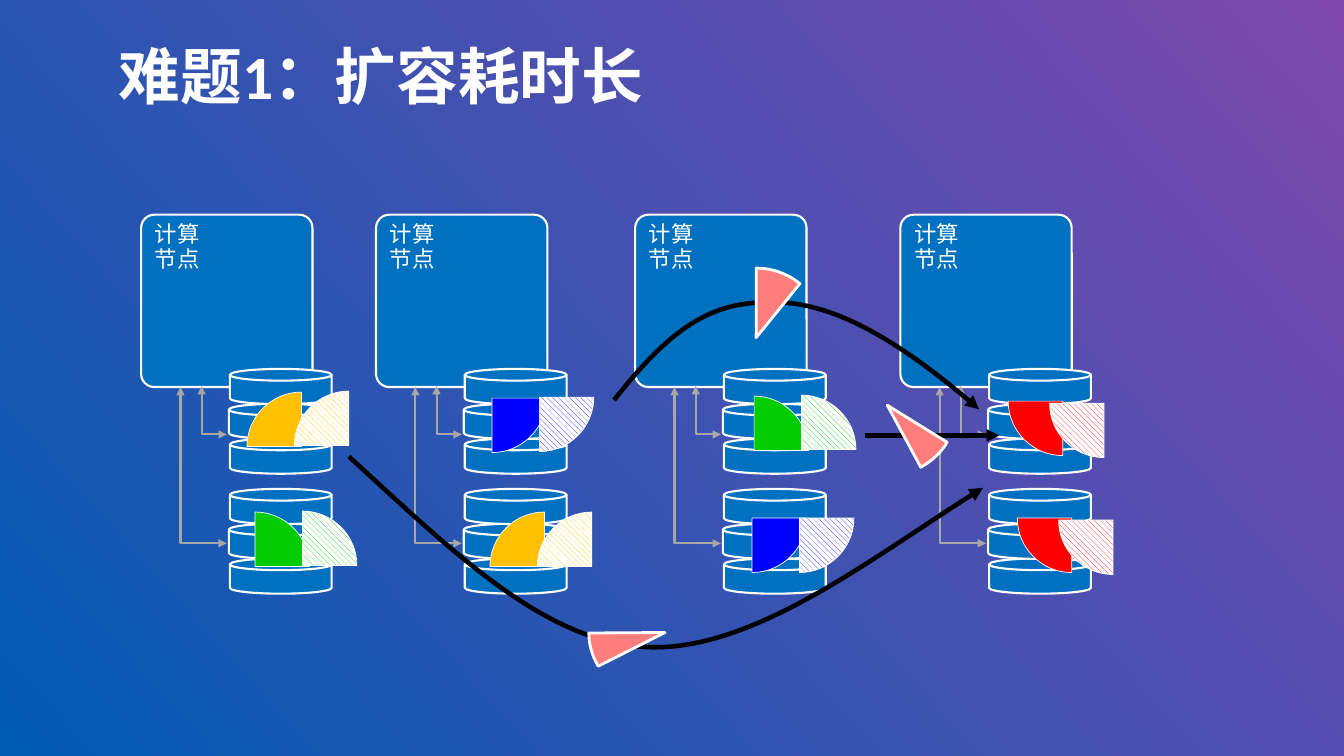
import pptx
import pptx.dml.color
import pptx.enum.dml
import pptx.enum.shapes
import pptx.enum.text
import pptx.oxml.ns
import pptx.util
from lxml import etree

Inches = pptx.util.Inches
Pt = pptx.util.Pt
RGBColor = pptx.dml.color.RGBColor
qn = pptx.oxml.ns.qn
SHAPES = pptx.enum.shapes.MSO_SHAPE
ANCHOR = pptx.enum.text.MSO_ANCHOR
ALIGN = pptx.enum.text.PP_ALIGN

DEEP_BLUE = RGBColor(0x00, 0x5B, 0xB3)
PURPLE = RGBColor(0x7F, 0x48, 0xAE)
NODE_BLUE = RGBColor(0x00, 0x70, 0xC0)
WHITE = RGBColor(0xFF, 0xFF, 0xFF)
BLACK = RGBColor(0x00, 0x00, 0x00)
GRAY = RGBColor(0xA7, 0xA7, 0xA7)
PINK = RGBColor(0xFF, 0x7D, 0x7D)
ORANGE = RGBColor(0xFF, 0xC0, 0x00)
BLUE = RGBColor(0x00, 0x00, 0xFF)
GREEN = RGBColor(0x00, 0xCC, 0x00)
RED = RGBColor(0xFF, 0x00, 0x00)

NODE_LEFTS = [1.4, 3.73, 6.3, 8.93]
RADIUS = 0.54
BEND = 0.55
SECTOR_TURNS = {ORANGE: (-1, -1), BLUE: (1, 1), GREEN: (1, -1), RED: (-1, 1)}
SECTORS = [
    (BLUE, (4.88, 3.95), (5.35, 3.94)),
    (ORANGE, (2.99, 4.43), (3.46, 4.42)),
    (GREEN, (7.48, 4.47), (7.95, 4.46)),
    (BLUE, (7.46, 5.14), (7.93, 5.14)),
    (ORANGE, (5.4, 5.62), (5.87, 5.62)),
    (GREEN, (2.53, 5.62), (3, 5.61)),
    (RED, (10.54, 3.98), (10.95, 4)),
    (RED, (10.63, 5.14), (11.04, 5.16)),
]


def apply_format(target, values):
    for name, value in values.items():
        setattr(target, name, value)


def paint(shape, fill, line, width):
    shape.shadow.inherit = False
    if fill is None:
        shape.fill.background()
    else:
        shape.fill.solid()
        shape.fill.fore_color.rgb = fill
    shape.line.color.rgb = line
    shape.line.width = Pt(width)


def write(box, lines, size, font, bold, anchor):
    frame = box.text_frame
    apply_format(frame, {"word_wrap": True, "vertical_anchor": anchor})
    for index, text in enumerate(lines):
        para = frame.add_paragraph() if index else frame.paragraphs[0]
        apply_format(para, {"alignment": ALIGN.LEFT, "line_spacing": 0.9})
        span = para.add_run()
        span.text = text
        apply_format(span.font, {"size": Pt(size), "name": font, "bold": bold})
        span.font.color.rgb = WHITE


def add_preset(page, kind, place, fill, width, adjustments=()):
    shape = page.shapes.add_shape(kind, *map(Inches, place))
    paint(shape, fill, WHITE, width)
    for index, value in enumerate(adjustments):
        shape.adjustments[index] = value
    return shape


def add_outline(page, points, close=False):
    start, *rest = [(Inches(x), Inches(y)) for x, y in points]
    builder = page.shapes.build_freeform(*start)
    builder.add_line_segments(rest, close=close)
    return builder.convert_to_shape()


def bend_segments(shape, curves):
    outline = shape._element.spPr.find(".//" + qn("a:path"))
    segments = outline.findall(qn("a:lnTo"))
    for first in range(0, curves * 3, 3):
        curve = etree.Element(qn("a:cubicBezTo"))
        segments[first].addprevious(curve)
        for segment in segments[first:first + 3]:
            curve.append(segment[0])
            outline.remove(segment)


def add_arrowheads(shape, ends):
    line = shape._element.spPr.find(qn("a:ln"))
    for end in ends:
        etree.SubElement(line, qn("a:" + end), type="triangle")


def add_elbow(page, left, top, bottom, right):
    elbow = add_outline(page, [(left, top), (left, bottom), (right, bottom)])
    paint(elbow, None, GRAY, 1.5)
    add_arrowheads(elbow, ["headEnd", "tailEnd"])


def add_disk_stack(page, left, top):
    for level in (2, 1, 0):
        shift = 0.01 if level == 1 else 0
        place = (left - shift, top + level * 0.345, 1.01, 0.35)
        add_preset(page, SHAPES.FLOWCHART_MAGNETIC_DISK, place, NODE_BLUE, 1.5)


def add_node(page, left):
    node = add_preset(page, SHAPES.ROUNDED_RECTANGLE, (left, 2.13, 1.7, 1.71), NODE_BLUE, 1.5, [0.077])
    write(node, ["计算", "节点"], 16, "Arial", False, ANCHOR.TOP)
    add_disk_stack(page, left + 0.88, 3.66)
    add_disk_stack(page, left + 0.88, 4.85)
    add_elbow(page, left + 0.6, 3.83, 4.31, left + 0.85)
    add_elbow(page, left + 0.39, 3.84, 5.39, left + 0.85)


def add_sector(page, color, corner, hatched):
    x, y = corner
    across, down = [turn * RADIUS for turn in SECTOR_TURNS[color]]
    points = [(x, y + down), (x + across * BEND, y + down),
              (x + across, y + down * BEND), (x + across, y), (x, y)]
    sector = add_outline(page, points, close=True)
    bend_segments(sector, 1)
    paint(sector, color, WHITE, 0.5)
    if hatched:
        sector.fill.patterned()
        sector.fill.pattern = pptx.enum.dml.MSO_PATTERN.WIDE_DOWNWARD_DIAGONAL
        sector.fill.fore_color.rgb = color
        sector.fill.back_color.rgb = WHITE


def add_curved_arrow(page, points):
    arrow = add_outline(page, points)
    bend_segments(arrow, len(points) // 3)
    paint(arrow, None, BLACK, 3.25)
    add_arrowheads(arrow, ["tailEnd"])


def add_straight_arrow(page, start, end):
    kind = pptx.enum.shapes.MSO_CONNECTOR.STRAIGHT
    arrow = page.shapes.add_connector(kind, *map(Inches, start + end))
    arrow.line.color.rgb = BLACK
    arrow.line.width = Pt(3)
    add_arrowheads(arrow, ["tailEnd"])
    etree.SubElement(arrow._element.spPr, qn("a:effectLst"))


def add_wedge(page, place, angles):
    add_preset(page, SHAPES.PIE, place, PINK, 2, angles)


def set_background(page):
    fill = page.background.fill
    fill.gradient()
    fill.gradient_angle = 42
    for stop, color in zip(fill.gradient_stops, (DEEP_BLUE, PURPLE)):
        stop.color.rgb = color


def main():
    deck = pptx.Presentation()
    apply_format(deck, {"slide_width": Inches(13.33), "slide_height": Inches(7.5)})
    page = deck.slides.add_slide(deck.slide_layouts[6])
    set_background(page)
    title = page.shapes.add_textbox(*map(Inches, (1.08, 0.41, 10.84, 0.75)))
    write(title, ["难题1：扩容耗时长"], 44, "Calibri", True, ANCHOR.MIDDLE)
    for left in NODE_LEFTS:
        add_node(page, left)
    for color, solid_corner, hatched_corner in SECTORS:
        add_sector(page, color, solid_corner, False)
        add_sector(page, color, hatched_corner, True)
    add_curved_arrow(page, [(3.46, 4.53), (4.43, 5.41), (5.37, 6.37), (6.41, 6.42),
                            (7.46, 6.47), (8.7, 5.49), (9.75, 4.84)])
    add_wedge(page, (5.84, 5.58, 1.51, 1.39), [91.92, 107.77])
    add_curved_arrow(page, [(6.09, 3.97), (6.71, 3.18), (7.11, 2.98), (7.71, 3),
                            (8.32, 3.01), (9.04, 3.48), (9.71, 4.06)])
    add_wedge(page, (6.81, 2.66, 1.38, 1.38), [162.03, 185.39])
    add_straight_arrow(page, (8.58, 4.32), (9.91, 4.32))
    add_wedge(page, (8.1, 3.32, 1.4, 1.4), [19.08, 36.94])
    deck.save("out.pptx")


if __name__ == "__main__":
    main()
